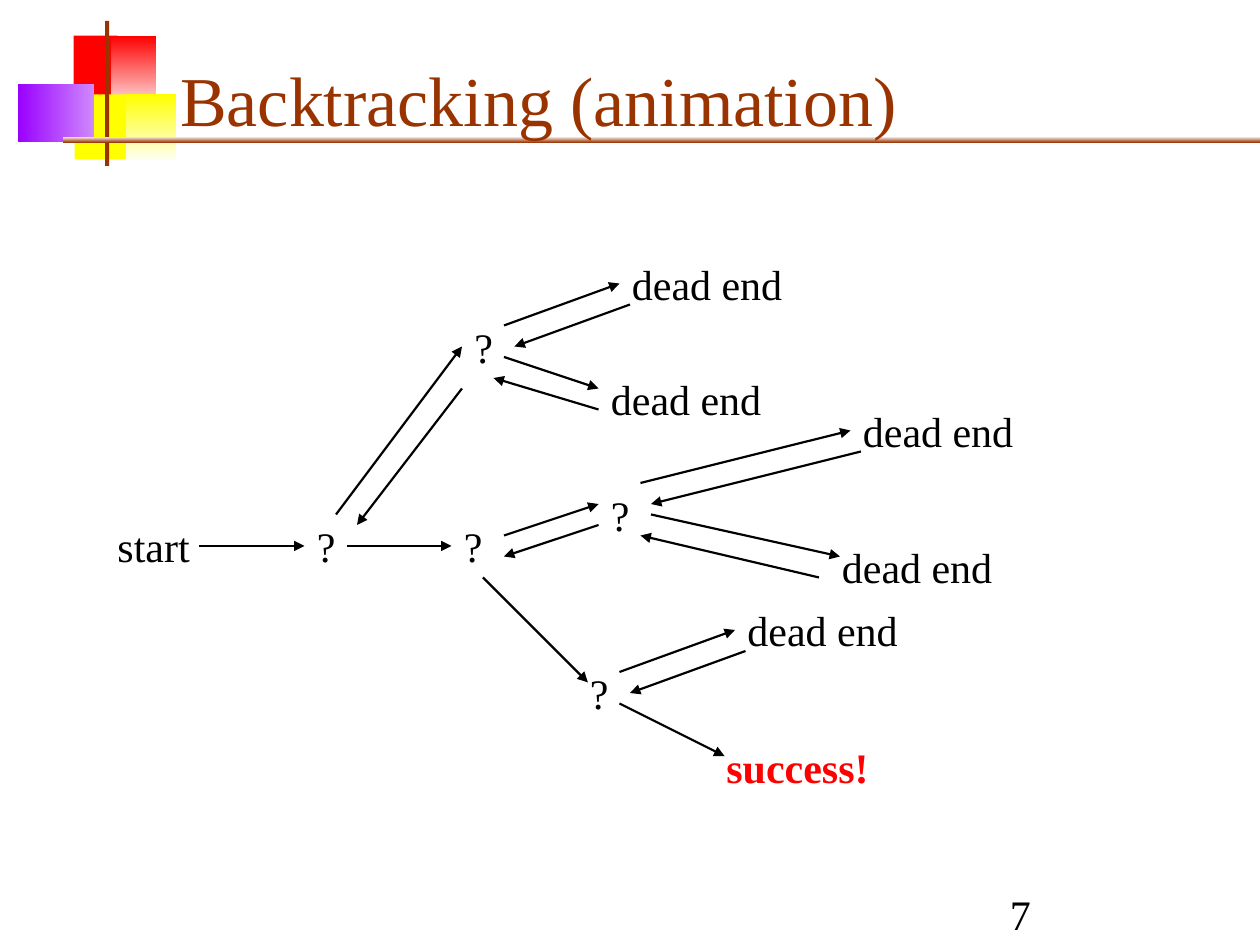
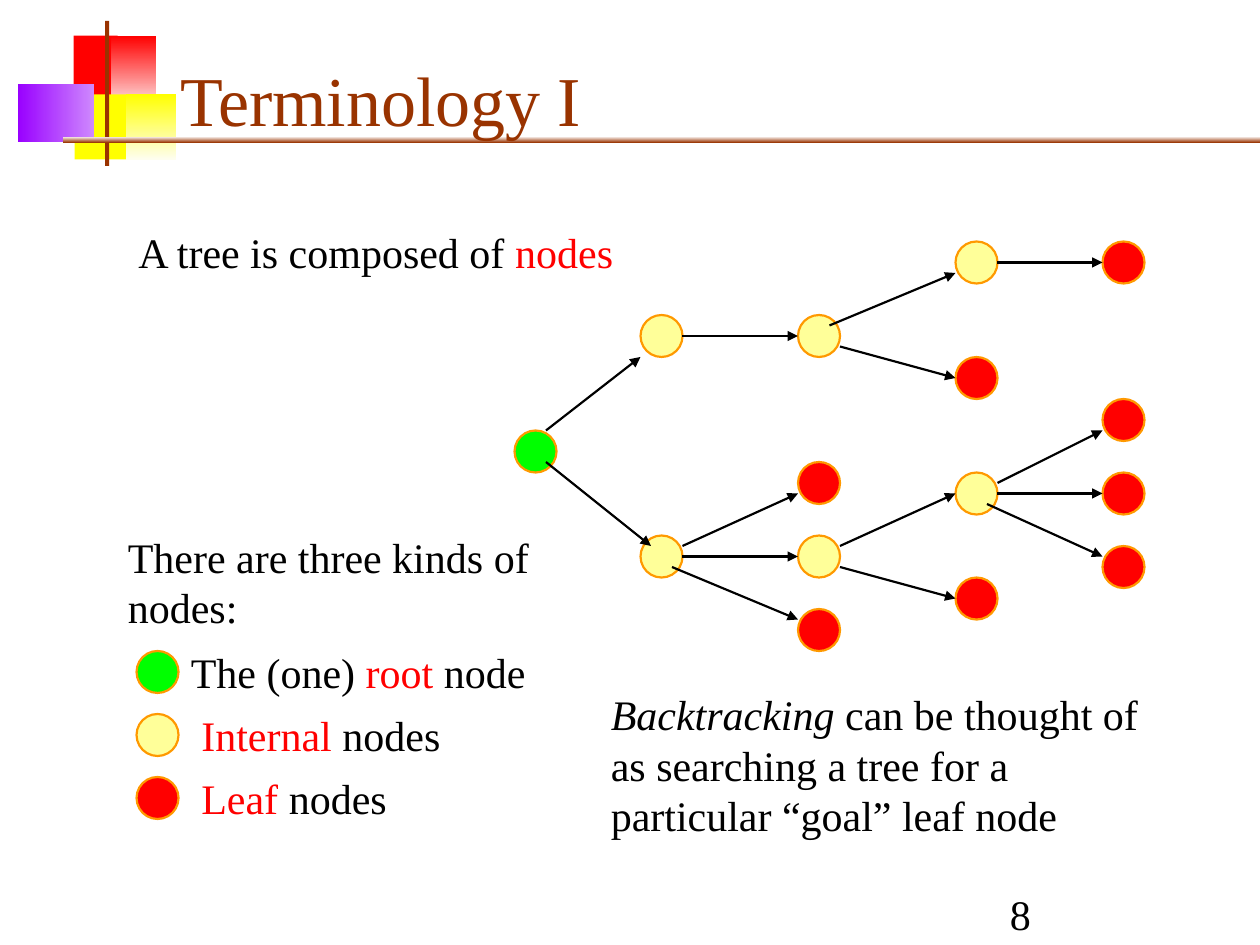
from lxml import etree
from pptx import Presentation, util as u
from pptx.dml.color import RGBColor
from pptx.enum import shapes, text
from pptx.oxml.ns import qn

PX = u.Inches(1) // 120
NODE = 40
BLACK, BROWN, RED, YELLOW = "000000", "993300", "FF0000", "FFFF00"
ORANGE, GREEN, CREAM, VIOLET = "FF9900", "00FF00", "FFFF99", "9900FF"
DOWN, RIGHT = 270, 0
ROOT, INTERNAL, LEAF = GREEN, CREAM, RED

# Left, top, width, height, colours, gradient angle
BANDS = [
    (70, 34, 42, 62, [RED], None),
    (106, 34, 43, 62, [RED, "FED0D0"], DOWN),
    (71, 90, 55, 62, [YELLOW], None),
    (120, 90, 48, 62, [YELLOW, "FEFEEF"], DOWN),
    (17, 80, 73, 55, [VIOLET, "CF8AFE"], RIGHT),
    (100, 20, 4, 138, [BROWN], None),
    (60, 130, 1140, 6, ["FEFEFE", BROWN], DOWN),
]


def rgb(value):
    return RGBColor.from_string(value)


def emu(*lengths):
    return [n * PX for n in lengths]


class Deck:
    font = {"name": "Times New Roman", "size": u.Pt(24), "bold": False, "italic": False}
    frame = {"word_wrap": True, "vertical_anchor": text.MSO_ANCHOR.TOP}
    line_width = u.Pt(1.25)

    def __init__(self):
        self.prs = Presentation()
        self.prs.slide_width, self.prs.slide_height = emu(1200, 900)
        self.s = None

    def slide(self, title, number):
        """Start a slide with the shared bands, title and page number."""
        self.s = self.prs.slides.add_slide(self.prs.slide_layouts[6])
        for band in BANDS:
            self.band(*band)
        bottom = {"vertical_anchor": text.MSO_ANCHOR.BOTTOM}
        self.text(160, 30, 1022, 110, (title, BROWN, {"size": u.Pt(40)}), **bottom)
        self.text(950, 840, 250, 60, str(number), **bottom)

    def shape(self, kind, *box):
        sp = self.s.shapes.add_shape(kind, *emu(*box))
        sp.shadow.inherit = False
        return sp

    def band(self, x, y, w, h, colors, angle):
        sp = self.shape(shapes.MSO_SHAPE.RECTANGLE, x, y, w, h)
        sp.line.fill.background()
        if angle is None:
            sp.fill.solid()
            sp.fill.fore_color.rgb = rgb(colors[0])
            return
        sp.fill.gradient()
        sp.fill.gradient_angle = angle
        for stop, color in zip(sp.fill.gradient_stops, colors):
            stop.color.rgb = rgb(color)

    def node(self, x, y, color):
        sp = self.shape(shapes.MSO_SHAPE.OVAL, x, y, NODE, NODE)
        sp.fill.solid()
        sp.fill.fore_color.rgb = rgb(color)
        sp.line.color.rgb = rgb(ORANGE)
        sp.line.width = self.line_width

    def arrow(self, *ends):
        c = self.s.shapes.add_connector(shapes.MSO_CONNECTOR.STRAIGHT, *emu(*ends))
        c.line.color.rgb = rgb(BLACK)
        c.line.width = self.line_width
        spPr = c.element.spPr
        etree.SubElement(spPr.find(qn("a:ln")), qn("a:tailEnd"), type="triangle")
        etree.SubElement(spPr, qn("a:effectLst"))

    def text(self, x, y, w, h, *runs, **frame):
        """Add one paragraph; a run is a string or (string, colour, font values)."""
        tf = self.s.shapes.add_textbox(*emu(x, y, w, h)).text_frame
        for name, value in {**self.frame, **frame}.items():
            setattr(tf, name, value)
        p = tf.paragraphs[0]
        for run in runs:
            words, color, font = (run, BLACK, {}) if isinstance(run, str) else run
            r = p.add_run()
            r.text = words
            r.font.color.rgb = rgb(color)
            for name, value in {**self.font, **font}.items():
                setattr(r.font, name, value)


def red(words, **font):
    return words, RED, font


def backtracking(deck):
    deck.slide("Backtracking (animation)", 7)
    deck.text(100, 490, 100, 60, "start")
    for x, y in [(290, 490), (440, 300), (430, 490), (570, 460), (550, 630)]:
        deck.text(x, y, 60, 60, "?")
    for x, y in [(570, 350), (590, 240), (790, 510), (810, 380), (700, 570)]:
        deck.text(x, y, 210, 60, "dead end")
    deck.text(680, 700, 210, 60, red("success!", bold=True))

    forward = [
        (190, 520, 290, 520), (320, 490, 440, 330), (330, 520, 430, 520),
        (480, 310, 590, 270), (480, 340, 570, 370), (480, 510, 570, 480),
        (610, 460, 810, 410), (620, 490, 800, 530), (460, 550, 560, 650),
        (590, 640, 700, 600), (590, 670, 690, 720),
    ]
    back = [
        (600, 290, 490, 330), (570, 390, 470, 360), (440, 370, 340, 500),
        (820, 430, 620, 480), (780, 550, 610, 510), (570, 500, 480, 530),
        (710, 620, 600, 660),
    ]
    for ends in forward + back:
        deck.arrow(*ends)


def terminology(deck):
    deck.slide("Terminology I", 8)
    # Node column: tops and kinds
    tree = {
        490: [(410, ROOT)],
        610: [(300, INTERNAL), (510, INTERNAL)],
        760: [(300, INTERNAL), (440, LEAF), (510, INTERNAL), (580, LEAF)],
        910: [(230, INTERNAL), (340, LEAF), (450, INTERNAL), (550, LEAF)],
        1050: [(230, LEAF), (380, LEAF), (450, LEAF), (520, LEAF)],
    }
    for x, column in tree.items():
        for y, kind in column:
            deck.node(x, y, kind)
    branches = [
        (520, 440, 620, 520), (520, 410, 610, 340), (650, 320, 760, 320),
        (790, 310, 910, 260), (800, 330, 910, 360), (950, 250, 1050, 250),
        (650, 520, 760, 470), (650, 530, 760, 530), (640, 540, 760, 590),
        (800, 520, 910, 470), (800, 540, 910, 570), (950, 460, 1050, 410),
        (950, 470, 1050, 470), (940, 480, 1050, 530),
    ]
    for ends in branches:
        deck.arrow(*ends)

    deck.text(110, 500, 420, 108, "There are three kinds of nodes:")
    deck.text(120, 210, 500, 133, "A tree is composed of ", red("nodes"))
    legend = [
        (ROOT, 170, ["The (one) ", red("root"), " node"]),
        (INTERNAL, 180, [red("Internal"), " nodes"]),
        (LEAF, 180, [red("Leaf"), " nodes"]),
    ]
    for i, (kind, x, runs) in enumerate(legend):
        deck.node(130, 620 + 60 * i, kind)
        deck.text(x, 610 + 60 * i, 490, 60, *runs)
    deck.text(570, 650, 530, 156, ("Backtracking", BLACK, {"italic": True}),
              " can be thought of as searching a tree for a particular “goal” leaf node")


def main():
    deck = Deck()
    backtracking(deck)
    terminology(deck)
    deck.prs.save("out.pptx")


if __name__ == "__main__":
    main()
